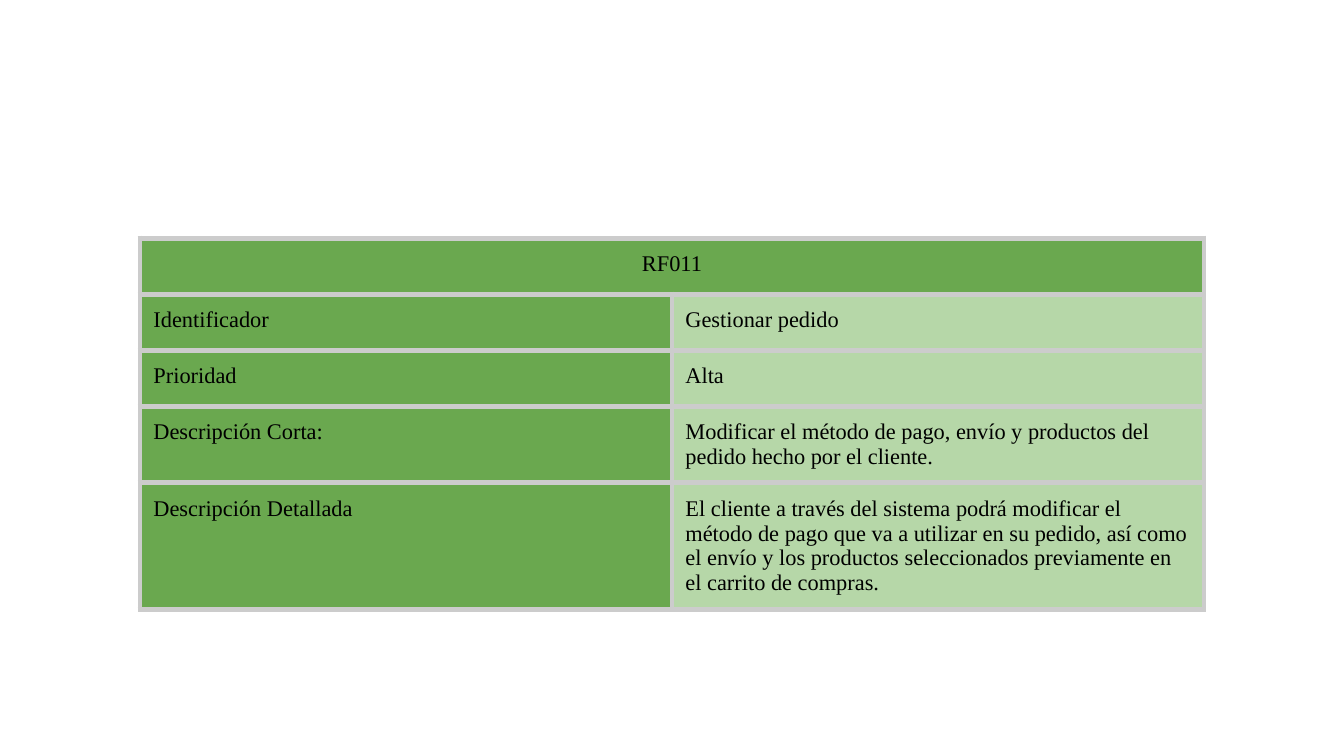
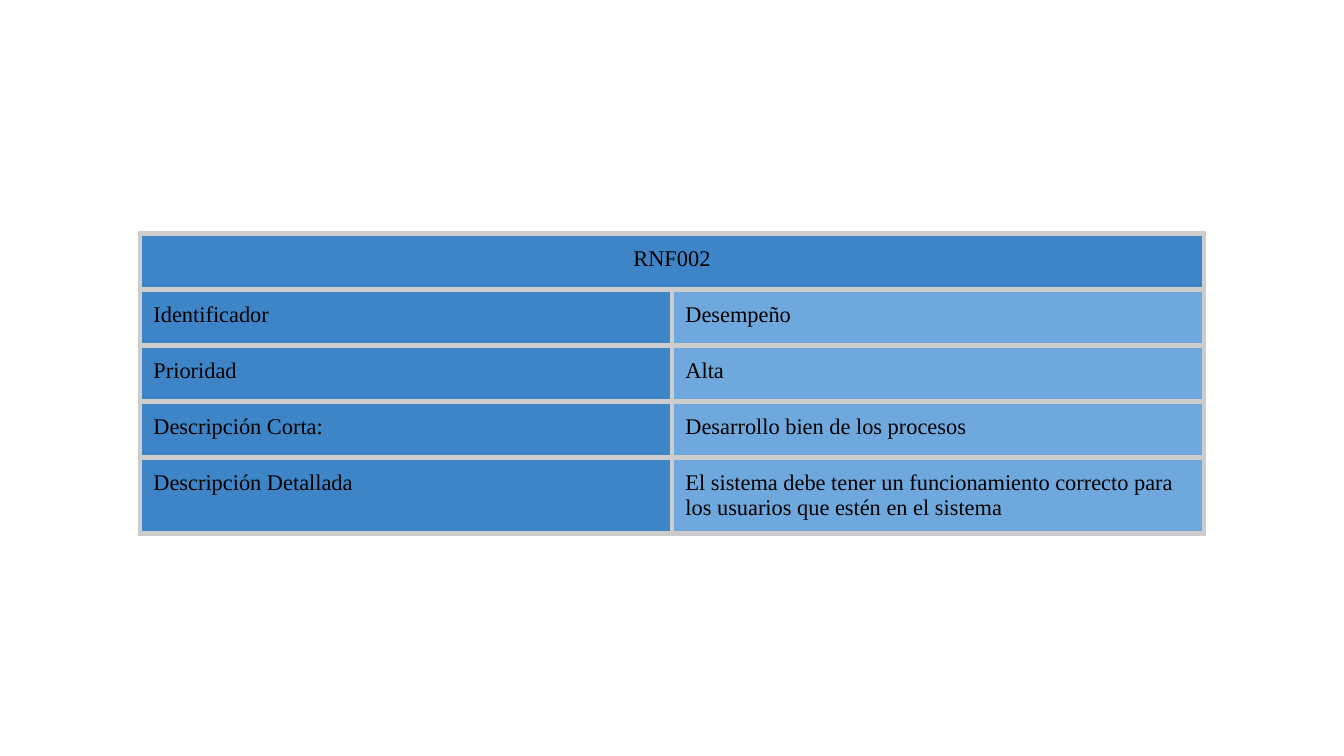
from lxml import etree
from pptx import Presentation
from pptx.dml.color import RGBColor
from pptx.enum.text import PP_ALIGN
from pptx.oxml.ns import qn
from pptx.util import Pt

CENTER, LEFT = PP_ALIGN.CENTER, PP_ALIGN.LEFT
BLANK = 6

# Shared style
BLACK = RGBColor(0x00, 0x00, 0x00)
WHITE = RGBColor(0xFF, 0xFF, 0xFF)
GREY = RGBColor(0xCC, 0xCC, 0xCC)
GREEN = RGBColor(0x6A, 0xA8, 0x4F)
MINT = RGBColor(0xB6, 0xD7, 0xA8)
BLUE = RGBColor(0x3D, 0x85, 0xC6)
SKY = RGBColor(0x6F, 0xA8, 0xDC)
FONT, SIZE = "Times New Roman", Pt(12)
INSET, BORDER = Pt(7.2), Pt(3)
ROW = 30

LABELS = ["Identificador", "Prioridad", "Descripción Corta:",
          "Descripción Detallada"]

# Code, values, dark and light fill, box (left, top, width)
CARDS = [
    ("RF011",
     ["Gestionar pedido",
      "Alta",
      "Modificar el método de pago, envío y productos del pedido hecho "
      "por el cliente.",
      "El cliente a través del sistema podrá modificar el método de pago "
      "que va a utilizar en su pedido, así como el envío y los productos "
      "seleccionados previamente en el carrito de compras."],
     GREEN, MINT, (75, 127.6, 570)),
    ("RNF002",
     ["Desempeño",
      "Alta",
      "Desarrollo bien de los procesos",
      "El sistema debe tener un funcionamiento correcto para los usuarios "
      "que estén en el sistema"],
     BLUE, SKY, (75, 124.9, 570)),
]


def add_edges(cell):
    """Draw the four borders; they must come before the fill."""
    props = cell._tc.get_or_add_tcPr()
    for side in ("lnL", "lnR", "lnT", "lnB"):
        line = etree.SubElement(props, qn(f"a:{side}"), w=str(BORDER))
        paint = etree.SubElement(line, qn("a:solidFill"))
        etree.SubElement(paint, qn("a:srgbClr"), val=str(GREY))


def fill_cell(cell, text, color, align=LEFT):
    add_edges(cell)
    cell.fill.solid()
    cell.fill.fore_color.rgb = color
    cell.margin_left = cell.margin_right = INSET
    cell.margin_top = cell.margin_bottom = INSET
    cell.text = text
    para = cell.text_frame.paragraphs[0]
    para.alignment = align
    para.font.name, para.font.size = FONT, SIZE
    para.font.color.rgb = BLACK


def add_card(slide, code, values, dark, light, box):
    """Requirement table: a merged heading over label and value rows."""
    left, top, width = box
    count = len(LABELS) + 1
    table = slide.shapes.add_table(count, 2, Pt(left), Pt(top), Pt(width),
                                   Pt(count * ROW)).table
    table.first_row = table.horz_banding = False

    # Heading
    fill_cell(table.cell(0, 0), code, dark, CENTER)
    fill_cell(table.cell(0, 1), "", dark)
    table.cell(0, 0).merge(table.cell(0, 1))

    # Rows
    for row, (label, value) in enumerate(zip(LABELS, values), 1):
        fill_cell(table.cell(row, 0), label, dark)
        fill_cell(table.cell(row, 1), value, light)


def main():
    deck = Presentation()
    deck.slide_width, deck.slide_height = Pt(720), Pt(405)
    for card in CARDS:
        slide = deck.slides.add_slide(deck.slide_layouts[BLANK])
        slide.background.fill.solid()
        slide.background.fill.fore_color.rgb = WHITE
        add_card(slide, *card)
    deck.save("out.pptx")


if __name__ == "__main__":
    main()
